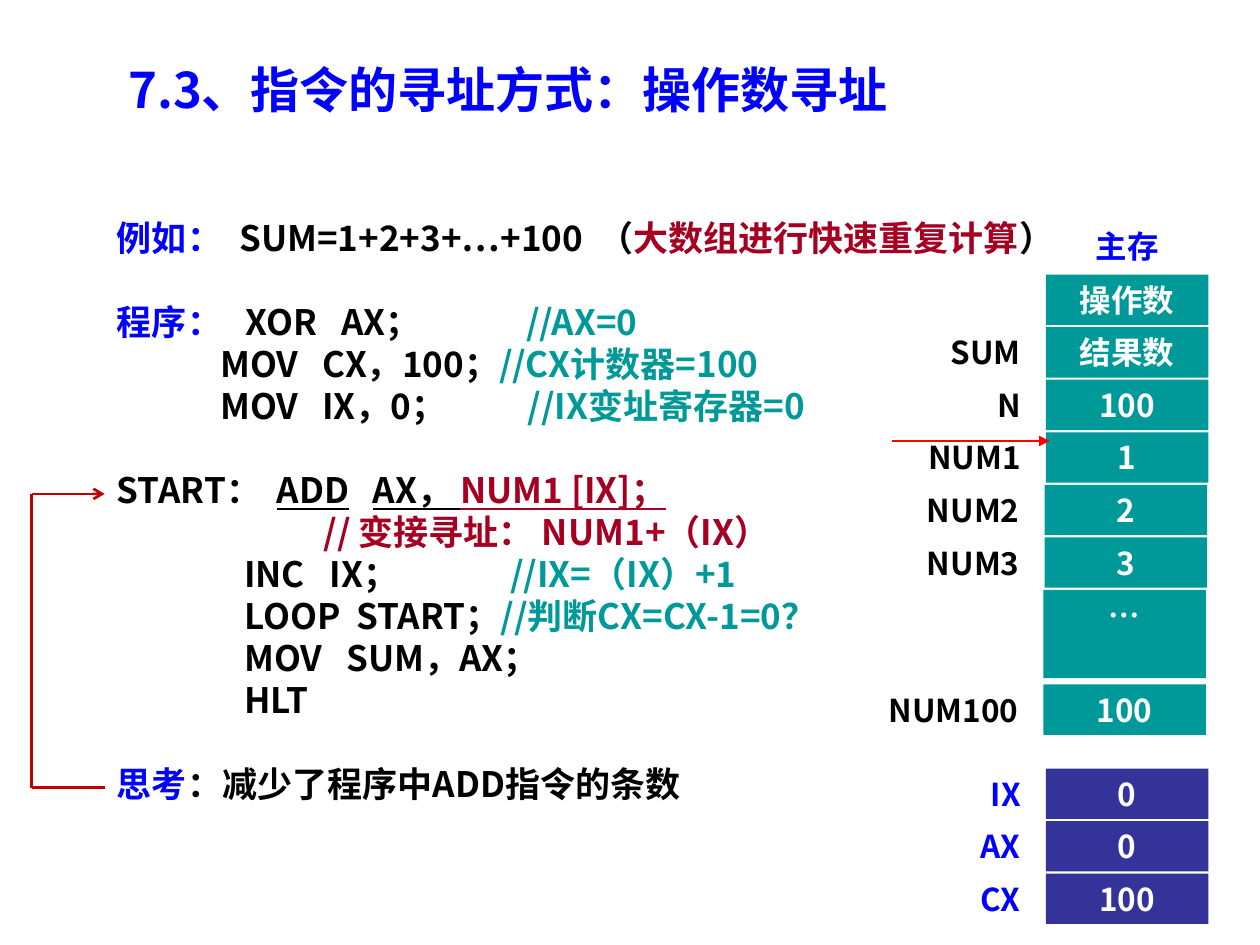
from dataclasses import dataclass
from typing import NamedTuple

from lxml import etree
from pptx import Presentation
from pptx import util as u
from pptx.dml.color import RGBColor
from pptx.enum import shapes, text
from pptx.oxml import ns

BLUE = RGBColor(0x00, 0x00, 0xFF)
BLACK = RGBColor(0x00, 0x00, 0x00)
WHITE = RGBColor(0xFF, 0xFF, 0xFF)
TEAL = RGBColor(0x00, 0x99, 0x99)
INDIGO = RGBColor(0x33, 0x33, 0x99)
CRIMSON = RGBColor(0xA5, 0x00, 0x21)
RED = RGBColor(0xFF, 0x00, 0x00)
DARK_RED = RGBColor(0xC0, 0x00, 0x00)

FONT = "Noto Sans CJK SC"
MEMORY_TOP, REGISTER_TOP = 2.18, 6.1
ROW_PITCH, ROW_HEIGHT = 0.417, 0.4
CELL_LEFT, CELL_WIDTH = 8.3, 1.29
LABEL_WIDTH, LABEL_GAP = 1.4, 0.1
LINE_POINTS = 24
LOOP_LEFT, LOOP_RIGHT, LOOP_TOP, LOOP_BOTTOM = 0.25, 0.83, 3.92, 6.25


class Span(NamedTuple):
    words: str
    color: RGBColor = BLACK
    underline: bool = False


@dataclass(frozen=True)
class Line:
    spans: tuple[Span, ...]
    tabs: tuple[float, ...] = ()
    gap: bool = False


@dataclass(frozen=True)
class Cell:
    value: str
    label: str
    row: float
    rows: float = 1
    shift: float = 0


PROGRAM = (
    Line((Span("例如：", BLUE), Span("\tSUM=1+2+3+…+100\t（"),
          Span("大数组进行快速重复计算", CRIMSON), Span("）")), (0.97, 3.82)),
    Line((Span("程序：", BLUE), Span("\tXOR\tAX；\t"), Span("//AX=0", TEAL)),
         (1.02, 1.78, 3.25), gap=True),
    Line((Span("\tMOV\tCX，100；"), Span("//CX计数器=100", TEAL)), (0.82, 1.63)),
    Line((Span("\tMOV\tIX，0；\t"), Span("//IX变址寄存器=0", TEAL)), (0.82, 1.63, 3.26)),
    Line((Span("START：\t"), Span("ADD\tAX， ", BLACK, True),
          Span("NUM1 [IX]；", CRIMSON, True)), (1.27, 2.03), gap=True),
    Line((Span("\t// 变接寻址： NUM1+（IX）", CRIMSON),), (1.64,)),
    Line((Span("\tINC\tIX；\t"), Span("//IX=（IX）+1", TEAL)), (1.01, 1.69, 3.12)),
    Line((Span("\tLOOP\tSTART；"), Span("//判断CX=CX-1=0？", TEAL)), (1.01, 1.9)),
    Line((Span("\tMOV\tSUM，AX；"),), (1.01, 1.82)),
    Line((Span("\tHLT"),), (1.01,)),
    Line((Span("思考", BLUE), Span("：减少了程序中ADD指令的条数")), gap=True),
)

MEMORY = (
    Cell("操作数", "", 0),
    Cell("结果数", "SUM", 1),
    Cell("100", "N", 2),
    Cell("1", "NUM1", 3),
    Cell("2", "NUM2", 4, shift=-0.01),
    Cell("3", "NUM3", 5, shift=-0.01),
    Cell("…", "", 6, rows=1.72, shift=-0.02),
    Cell("100", "NUM100", 7.8, shift=-0.02),
)
REGISTERS = (Cell("0", "IX", 0), Cell("0", "AX", 1), Cell("100", "CX", 2))


def set_tabs(para, stops: tuple[float, ...]) -> None:
    if stops:
        tab_list = etree.SubElement(para._p.get_or_add_pPr(), ns.qn("a:tabLst"))
        for stop in stops:
            etree.SubElement(tab_list, ns.qn("a:tab"), pos=str(u.Inches(stop)), algn="l")


def add_span(para, words: str, *, size: float, color: RGBColor, underline: bool = False) -> None:
    span = para.add_run()
    span.text = words
    span.font.size = u.Pt(size)
    span.font.name = FONT
    span.font.bold = True
    span.font.color.rgb = color
    if underline:
        span.font.underline = True
    properties = span.font._element
    etree.SubElement(properties, ns.qn("a:ea"), typeface=FONT)


def write(box, lines: tuple[Line, ...], *, size: float = 18,
          align=text.PP_ALIGN.LEFT) -> None:
    frame = box.text_frame
    frame.word_wrap = True
    frame.vertical_anchor = text.MSO_ANCHOR.TOP
    for index, line in enumerate(lines):
        para = frame.add_paragraph() if index else frame.paragraphs[0]
        set_tabs(para, line.tabs)
        para.alignment = align
        if line.gap:
            para.space_before = u.Pt(LINE_POINTS)
        for span in line.spans:
            add_span(para, span.words, size=size, color=span.color, underline=span.underline)


def add_text(page, words: str, left: float, top: float, width: float, height: float, *,
             color: RGBColor, size: float = 18, align=text.PP_ALIGN.LEFT) -> None:
    box = page.shapes.add_textbox(*map(u.Inches, (left, top, width, height)))
    write(box, (Line((Span(words, color),)),), size=size, align=align)


def add_cells(page, cells: tuple[Cell, ...], top: float, fill: RGBColor,
              label_color: RGBColor) -> None:
    """Stack filled cells on the row grid, each with its label on the left."""
    for cell in cells:
        left = CELL_LEFT + cell.shift
        cell_top = top + cell.row * ROW_PITCH
        height = ROW_HEIGHT + (cell.rows - 1) * ROW_PITCH
        box = page.shapes.add_shape(
            shapes.MSO_SHAPE.RECTANGLE,
            *map(u.Inches, (left, cell_top, CELL_WIDTH, height)))
        box.shadow.inherit = False
        box.fill.solid()
        box.fill.fore_color.rgb = fill
        box.line.fill.background()
        write(box, (Line((Span(cell.value, WHITE),)),), align=text.PP_ALIGN.CENTER)
        if cell.label:
            add_text(page, cell.label, left - LABEL_GAP - LABEL_WIDTH, cell_top,
                     LABEL_WIDTH, ROW_HEIGHT, color=label_color, align=text.PP_ALIGN.RIGHT)


def add_line(page, start: tuple[float, float], end: tuple[float, float],
             color: RGBColor, width: float, head: str = "") -> None:
    line = page.shapes.add_connector(
        shapes.MSO_CONNECTOR.STRAIGHT, *map(u.Inches, (*start, *end)))
    line.line.color.rgb = color
    line.line.width = u.Pt(width)
    if head:
        etree.SubElement(line.line._get_or_add_ln(), ns.qn("a:tailEnd"), type=head)
    etree.SubElement(line._element.spPr, ns.qn("a:effectLst"))


def main() -> None:
    deck = Presentation()
    deck.slide_width, deck.slide_height = u.Inches(10), u.Inches(7.5)
    page = deck.slides.add_slide(deck.slide_layouts[6])

    add_text(page, "7.3、指令的寻址方式：操作数寻址", 0.92, 0.42, 6.92, 0.57,
             color=BLUE, size=28)
    listing = page.shapes.add_textbox(*map(u.Inches, (0.83, 1.67, 9.17, 5.43)))
    write(listing, PROGRAM, size=20)

    add_text(page, "主存", CELL_LEFT, 1.75, CELL_WIDTH, ROW_HEIGHT,
             color=BLUE, align=text.PP_ALIGN.CENTER)
    add_cells(page, MEMORY, MEMORY_TOP, TEAL, BLACK)
    add_cells(page, REGISTERS, REGISTER_TOP, INDIGO, BLUE)
    add_line(page, (7.08, 3.5), (8.33, 3.5), RED, 0.75, "triangle")

    add_line(page, (LOOP_LEFT, LOOP_TOP), (LOOP_RIGHT, LOOP_TOP), DARK_RED, 1.5, "arrow")
    add_line(page, (LOOP_LEFT, LOOP_TOP), (LOOP_LEFT, LOOP_BOTTOM), DARK_RED, 1.5)
    add_line(page, (LOOP_LEFT, LOOP_BOTTOM), (LOOP_RIGHT, LOOP_BOTTOM), DARK_RED, 1.5)

    deck.save("out.pptx")


if __name__ == "__main__":
    main()
